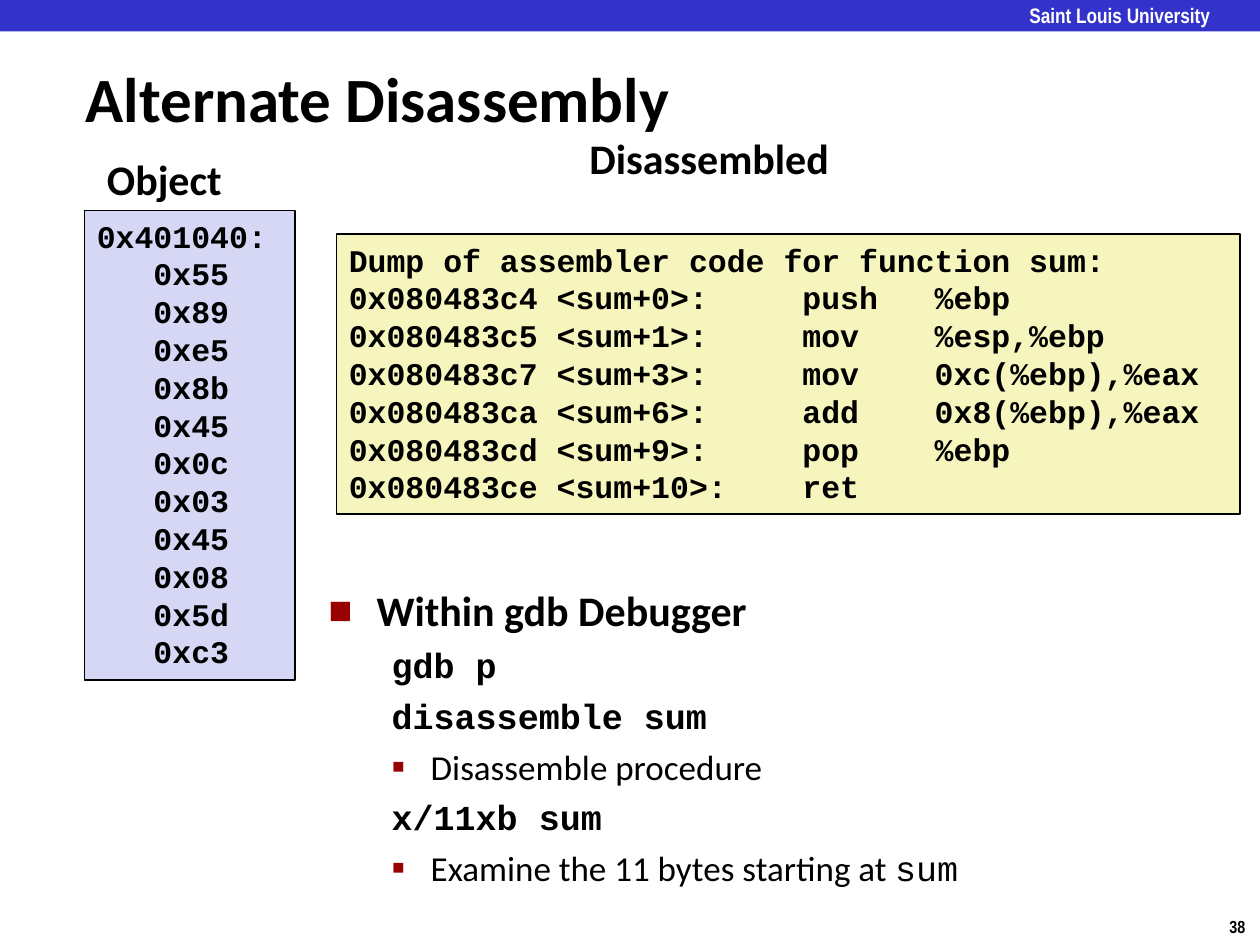
from lxml.etree import SubElement
from pptx import Presentation
from pptx.dml.color import RGBColor
from pptx.enum.shapes import MSO_SHAPE as Preset
from pptx.enum.text import MSO_ANCHOR as Anchor, PP_ALIGN as Align
from pptx.oxml.ns import qn
from pptx.util import Inches, Pt

# Content
TITLE = "Alternate Disassembly"
HEADER = "Saint Louis University"
PAGE = "38"
LABELS = [  # text, box
    ("Disassembled", (4.58, 1, 2.85, 0.45)),
    ("Object", (0.75, 1.17, 1.43, 0.45)),
]
OBJECT_BYTES = "55 89 e5 8b 45 0c 03 45 08 5d c3".split()
DUMP_LINES = [
    "Dump of assembler code for function sum:",
    "0x080483c4 <sum+0>:     push   %ebp",
    "0x080483c5 <sum+1>:     mov    %esp,%ebp",
    "0x080483c7 <sum+3>:     mov    0xc(%ebp),%eax",
    "0x080483ca <sum+6>:     add    0x8(%ebp),%eax",
    "0x080483cd <sum+9>:     pop    %ebp",
    "0x080483ce <sum+10>:    ret",
]
OBJECT_LINES = ["0x401040:"] + [f"   0x{byte}" for byte in OBJECT_BYTES]
DEBUGGER_NOTES = [  # kind, text runs
    ("heading", ["Within gdb Debugger"]),
    ("command", ["gdb p"]),
    ("command", ["disassemble sum"]),
    ("detail", ["Disassemble procedure"]),
    ("command", ["x/11xb sum"]),
    ("detail", ["Examine the 11 bytes starting at ", "sum"]),
]

# Style
COLORS = {"bar": "3333CC", "dump": "F6F5BD", "object": "D6D6F5",
          "bullet": "990000", "text": "000000", "white": "FFFFFF"}
SANS, MONO, NARROW = "Calibri", "Courier New", "Arial Narrow"
NOTE_STYLES = {  # level, margin, hang, bullet, bullet %, run fonts, size, bold
    "heading": (0, 0.38, 0.38, "■", 60, [SANS], 24, True),
    "command": (1, 0.81, 0.31, None, 0, [MONO], 20, True),
    "detail": (1, 0.81, 0.31, "▪", 110, [SANS, MONO], 20, False),
}


def rgb(name):
    return RGBColor.from_string(COLORS[name])


def style_run(run, font, size, bold=True, color="text"):
    run.font.name, run.font.size, run.font.bold = font, Pt(size), bold
    run.font.color.rgb = rgb(color)


def set_bullet(paragraph, margin, hang, char, percent):
    props = paragraph._p.get_or_add_pPr()
    props.set("marL", str(Inches(margin)))
    props.set("indent", str(-Inches(hang)))
    if char is None:
        SubElement(props, qn("a:buNone"))
        return
    color = SubElement(props, qn("a:buClr"))
    SubElement(color, qn("a:srgbClr"), val=COLORS["bullet"])
    SubElement(props, qn("a:buSzPct"), val=str(percent * 1000))
    SubElement(props, qn("a:buFont"), typeface=SANS)
    SubElement(props, qn("a:buChar"), char=char)


def add_text(slide, text, box, font, size, color="text", inset=None, wrap=True):
    frame = slide.shapes.add_textbox(*map(Inches, box)).text_frame
    frame.word_wrap = wrap
    if inset is not None:
        frame.margin_left = frame.margin_right = Inches(inset)
        frame.margin_top = frame.margin_bottom = Inches(inset)
    frame.text = text
    style_run(frame.paragraphs[0].runs[0], font, size, color=color)


def add_rect(slide, box, fill, outlined=True):
    rect = slide.shapes.add_shape(Preset.RECTANGLE, *map(Inches, box))
    rect.shadow.inherit = False
    rect.fill.solid()
    rect.fill.fore_color.rgb = rgb(fill)
    if outlined:
        rect.line.color.rgb = rgb("text")
        rect.line.width = Pt(1)
    else:
        rect.line.fill.background()
    return rect


def add_listing(slide, lines, box, fill):
    frame = add_rect(slide, box, fill).text_frame
    frame.word_wrap = True
    frame.vertical_anchor = Anchor.TOP
    frame.text = "\n".join(lines)
    for paragraph in frame.paragraphs:
        paragraph.alignment = Align.LEFT
        style_run(paragraph.runs[0], MONO, 18)


def add_notes(slide, notes, box):
    frame = slide.shapes.add_textbox(*map(Inches, box)).text_frame
    frame.word_wrap = True
    for i, (kind, texts) in enumerate(notes):
        level, margin, hang, char, percent, fonts, size, bold = NOTE_STYLES[kind]
        paragraph = frame.add_paragraph() if i else frame.paragraphs[0]
        paragraph.level = level
        set_bullet(paragraph, margin, hang, char, percent)
        if i:
            paragraph.space_before = Pt(5)
        for text, font in zip(texts, fonts):
            run = paragraph.add_run()
            run.text = text
            style_run(run, font, size, bold)


def main():
    deck = Presentation()
    deck.slide_width, deck.slide_height = Inches(10), Inches(7.5)
    slide = deck.slides.add_slide(deck.slide_layouts[5])

    # Title
    title = slide.shapes.title
    title.left, title.top, title.width, title.height = map(
        Inches, (0.58, 0.46, 6.83, 0.63))
    title.text_frame.text = TITLE
    title.text_frame.vertical_anchor = Anchor.MIDDLE
    title.text_frame.paragraphs[0].alignment = Align.LEFT
    style_run(title.text_frame.paragraphs[0].runs[0], SANS, 36)

    # Header bar and page number
    add_rect(slide, (0, 0, 10, 0.25), "bar", outlined=False)
    add_text(slide, HEADER, (8.17, 0.02, 1.67, 0.19), NARROW, 12, "white", inset=0)
    add_text(slide, PAGE, (9.66, 7.22, 0.34, 0.27), NARROW, 10, wrap=False)

    # Code listings with their labels
    for label, box in LABELS:
        add_text(slide, label, box, SANS, 24)
    add_listing(slide, DUMP_LINES, (2.67, 1.86, 7.17, 2.22), "dump")
    add_listing(slide, OBJECT_LINES, (0.67, 1.67, 1.67, 3.73), "object")

    # Debugger notes
    add_notes(slide, DEBUGGER_NOTES, (2.51, 4.59, 6.89, 2.46))

    deck.save("out.pptx")


if __name__ == "__main__":
    main()
